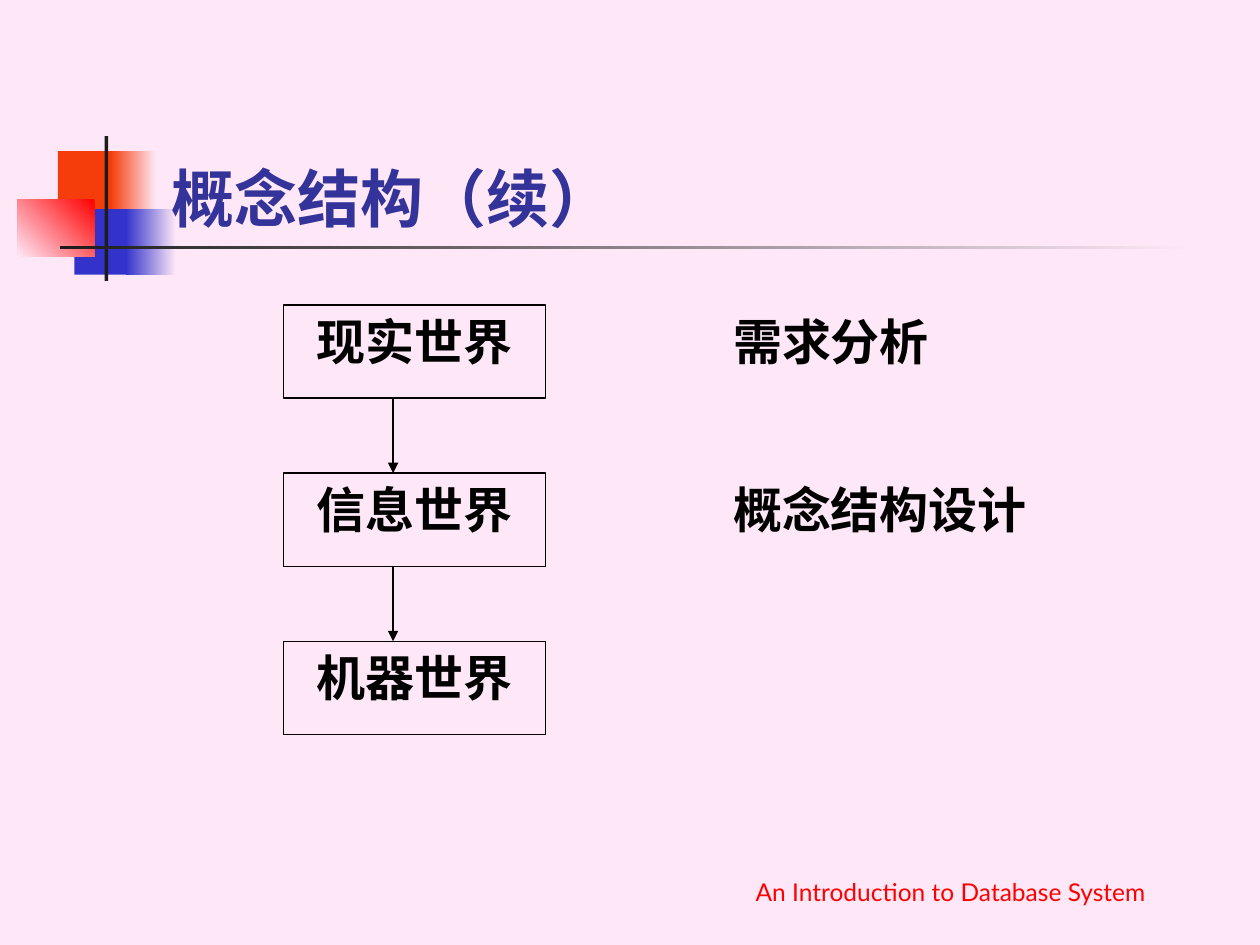
"""Build the slide on conceptual structure in database design."""
from lxml import etree
from pptx import Presentation
from pptx.dml.color import RGBColor
from pptx.enum.shapes import MSO_CONNECTOR, MSO_SHAPE
from pptx.enum.text import MSO_ANCHOR, MSO_AUTO_SIZE, PP_ALIGN
from pptx.oxml.ns import qn
from pptx.util import Inches, Pt

RECT = MSO_SHAPE.RECTANGLE
STRAIGHT = MSO_CONNECTOR.STRAIGHT
TOP, BOTTOM = MSO_ANCHOR.TOP, MSO_ANCHOR.BOTTOM
LEFT, CENTER, JUSTIFY = PP_ALIGN.LEFT, PP_ALIGN.CENTER, PP_ALIGN.JUSTIFY

PINK = RGBColor(0xFE, 0xE8, 0xF7)
ORANGE = RGBColor(0xF5, 0x3D, 0x0B)
BLUE = RGBColor(0x33, 0x33, 0xCC)
NAVY = RGBColor(0x33, 0x33, 0x99)
RED = RGBColor(0xFF, 0x00, 0x00)
DARK = RGBColor(0x1C, 0x1C, 0x1C)
BLACK = RGBColor(0x00, 0x00, 0x00)


def add_rect(s, left, top, width, height):
    sp = s.shapes.add_shape(RECT, Inches(left), Inches(top), Inches(width), Inches(height))
    sp.shadow.inherit = False
    return sp


def write(sp, text, size, font, color, bold, align, anchor):
    tf = sp.text_frame
    tf.word_wrap = True
    tf.auto_size = MSO_AUTO_SIZE.NONE
    tf.vertical_anchor = anchor
    p = tf.paragraphs[0]
    p.alignment = align
    r = p.add_run()
    r.text = text
    r.font.size = Pt(size)
    r.font.name = font
    r.font.bold = bold
    r.font.color.rgb = color


prs = Presentation()
prs.slide_width, prs.slide_height = Inches(10), Inches(7.5)
s = prs.slides.add_slide(prs.slide_layouts[5])
s.background.fill.solid()
s.background.fill.fore_color.rgb = PINK

decorations = [
    (0.46, 1.2, 0.48, 0.52, [ORANGE], 0),
    (0.88, 1.2, 0.36, 0.52, [PINK, ORANGE], 180),
    (0.59, 1.66, 0.46, 0.52, [BLUE], 0),
    (1, 1.66, 0.4, 0.52, [PINK, BLUE], 180),
    (0.14, 1.58, 0.61, 0.46, [RED, PINK], 225),
    (0.83, 1.08, 0.03, 1.15, [DARK], 0),
    (0.48, 1.95, 9, 0.03, [PINK, DARK], 180),
]
for left, top, width, height, colors, angle in decorations:
    sp = add_rect(s, left, top, width, height)
    sp.line.fill.background()
    if len(colors) == 1:
        sp.fill.solid()
        sp.fill.fore_color.rgb = colors[0]
    else:
        sp.fill.gradient()
        sp.fill.gradient_angle = angle
        for stop, color in zip(sp.fill.gradient_stops, colors):
            stop.color.rgb = color

title = s.shapes.title
title.left, title.top, title.width, title.height = Inches(1.26), Inches(0.67), Inches(8.52), Inches(1.25)
write(title, "概念结构（续）", 36, "Lato", NAVY, True, LEFT, BOTTOM)
title.element.getparent().append(title.element)

first_top, pitch, box_height = 2.42, 1.335, 0.74
worlds = [("现实世界", "需求分析", 1.91), ("信息世界", "概念结构设计", 2.95), ("机器世界", None, 0)]
for i, (world, phase, phase_width) in enumerate(worlds):
    top = first_top + i * pitch
    sp = add_rect(s, 2.25, top, 2.08, box_height)
    sp.fill.background()
    sp.line.color.rgb = BLACK
    sp.line.width = Pt(0.75)
    write(sp, world, 28, "Times New Roman", BLACK, True, CENTER, TOP)
    if phase:
        label = s.shapes.add_textbox(Inches(5.72), Inches(top), Inches(phase_width), Inches(0.59))
        write(label, phase, 28, "Times New Roman", BLACK, True, JUSTIFY, TOP)
        arrow = s.shapes.add_connector(
            STRAIGHT, Inches(3.12), Inches(top + box_height), Inches(3.12), Inches(top + pitch))
        arrow.line.color.rgb = BLACK
        arrow.line.width = Pt(0.75)
        etree.SubElement(arrow.line._get_or_add_ln(), qn("a:tailEnd"), type="triangle")
        etree.SubElement(arrow.element.spPr, qn("a:effectLst"))

footer = s.shapes.add_textbox(Inches(5.5), Inches(6.74), Inches(4.09), Inches(0.5))
write(footer, "An Introduction to Database System", 14, "Lato", RED, False, CENTER, BOTTOM)

prs.save("out.pptx")
